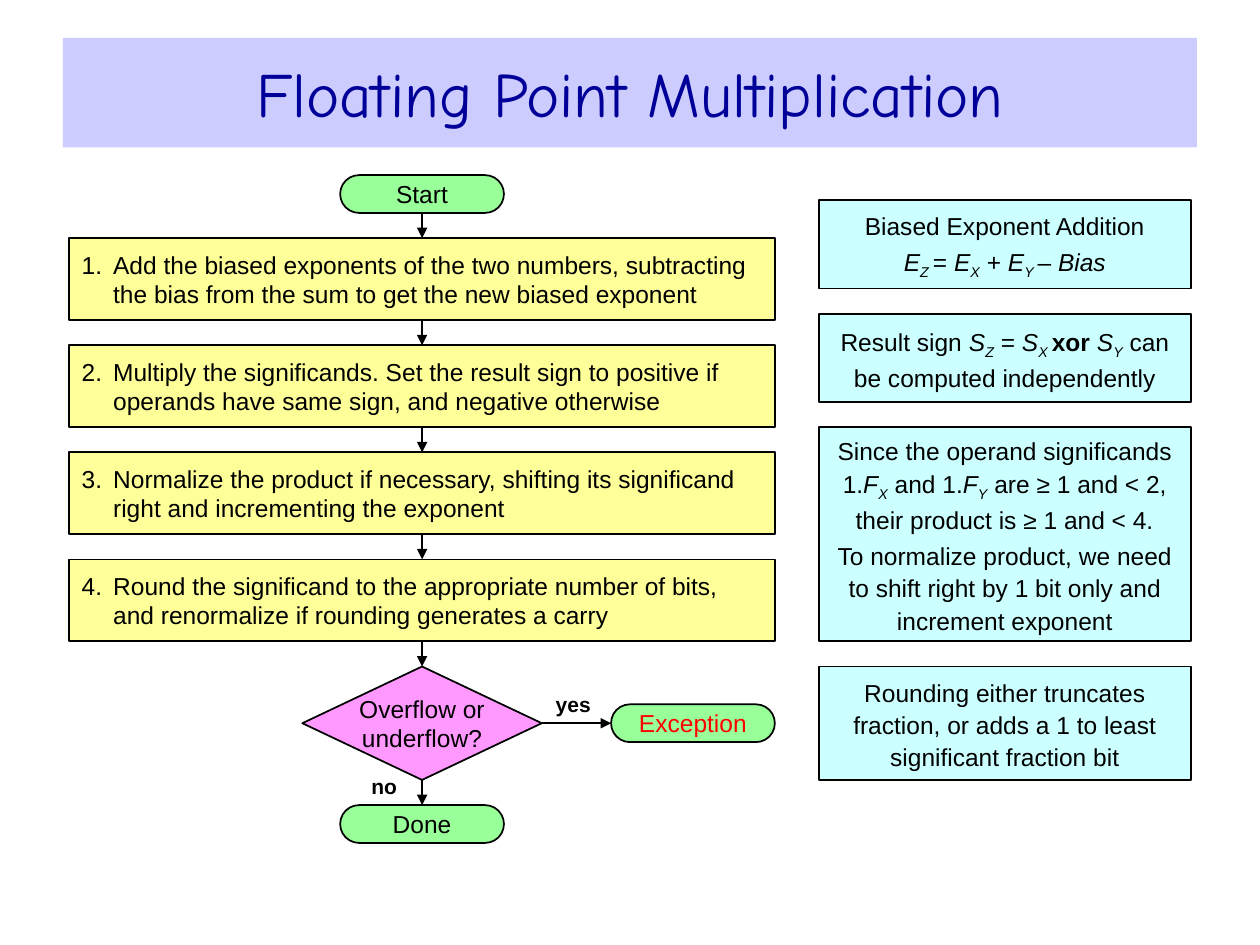
import dataclasses

import pptx
import pptx.dml.color
import pptx.enum.shapes
import pptx.enum.text
import pptx.oxml.ns
import pptx.util
from lxml import etree

Inches = pptx.util.Inches
Pt = pptx.util.Pt
SHAPE = pptx.enum.shapes.MSO_SHAPE
ANCHOR = pptx.enum.text.MSO_ANCHOR
ALIGN = pptx.enum.text.PP_ALIGN
TOP, LEFT, BOTTOM, RIGHT = range(4)


@dataclasses.dataclass(frozen=True)
class Theme:
    title_fill: str = "CCCCFF"
    title_ink: str = "000099"
    step_fill: str = "FFFF99"
    terminal_fill: str = "99FF99"
    decision_fill: str = "FF99FF"
    note_fill: str = "CCFFFF"
    ink: str = "000000"
    alert: str = "FF0000"
    title_font: str = "Comic Neue"
    body_font: str = "Arial"
    title_size: int = 36
    body_size: int = 14
    label_size: int = 12
    line_width: int = 1


THEME = Theme()
ITALIC = {"italic": True}
BOLD = {"bold": True}
SUBSCRIPT = {"italic": True, "baseline": -25000}

STEPS = [
    "Add the biased exponents of the two numbers, subtracting the bias from the sum to get the new biased exponent",
    "Multiply the significands. Set the result sign to positive if operands have same sign, and negative otherwise",
    "Normalize the product if necessary, shifting its significand right and incrementing the exponent",
    "Round the significand to the appropriate number of bits, and renormalize if rounding generates a carry",
]


def indexed(symbol, index):
    return [(symbol, ITALIC), (index, SUBSCRIPT)]


NOTES = [
    (1.59, 0.7, [
        ["Biased Exponent Addition"],
        [*indexed("E", "Z "), "= ", *indexed("E", "X"), " + ",
         *indexed("E", "Y "), "– ", ("Bias", ITALIC)],
    ]),
    (2.49, 0.7, [
        ["Result sign ", *indexed("S", "Z"), " = ", *indexed("S", "X "),
         ("xor ", BOLD), *indexed("S", "Y"), " can be computed independently"],
    ]),
    (3.39, 1.7, [
        ["Since the operand significands 1.", *indexed("F", "X"), " and 1.",
         *indexed("F", "Y"), " are ≥ 1 and < 2, their product is ≥ 1 and < 4."],
        ["To normalize product, we need to shift right by 1 bit only and increment exponent"],
    ]),
    (5.29, 0.9, [
        ["Rounding either truncates fraction, or adds a 1 to least significant fraction bit"],
    ]),
]


def rgb(value):
    return pptx.dml.color.RGBColor.from_string(value)


def apply(target, formats):
    for name, value in formats.items():
        setattr(target, name, value)


def write(shape, paragraphs, font=THEME.body_font, size=THEME.body_size,
          color=THEME.ink, align=ALIGN.CENTER, insets=(0.1, 0),
          anchor=ANCHOR.MIDDLE, wrap=True, bold=None, spacing=None, gap=0):
    frame = shape.text_frame
    side, end = map(Inches, insets)
    apply(frame, {"word_wrap": wrap, "vertical_anchor": anchor,
                  "margin_left": side, "margin_right": side,
                  "margin_top": end, "margin_bottom": end})
    for position, pieces in enumerate(paragraphs):
        paragraph = frame.add_paragraph() if position else frame.paragraphs[0]
        apply(paragraph, {"alignment": align, "line_spacing": spacing,
                          "space_before": Pt(gap if position else 0)})
        for piece in pieces:
            words, style = (piece, {}) if isinstance(piece, str) else piece
            run = paragraph.add_run()
            run.text = words
            formats = {"name": font, "size": Pt(size), "bold": bold, **style}
            baseline = formats.pop("baseline", None)
            apply(run.font, formats)
            run.font.color.rgb = rgb(color)
            if baseline:
                run.font._element.set("baseline", str(baseline))


def add_block(slide, kind, box, fill, outlined=True):
    block = slide.shapes.add_shape(kind, *map(Inches, box))
    block.shadow.inherit = False
    block.fill.solid()
    block.fill.fore_color.rgb = rgb(fill)
    if outlined:
        block.line.color.rgb = rgb(THEME.ink)
        block.line.width = Pt(THEME.line_width)
    else:
        block.line.fill.background()
    return block


def add_title(slide, words):
    banner = add_block(slide, SHAPE.RECTANGLE, (0.5, 0.3, 9, 0.87),
                       THEME.title_fill, outlined=False)
    write(banner, [[words]], font=THEME.title_font, size=THEME.title_size,
          color=THEME.title_ink, insets=(0.1, 0.05))


def add_terminal(slide, left, top, words, color=THEME.ink):
    terminal = add_block(slide, SHAPE.ROUNDED_RECTANGLE, (left, top, 1.3, 0.3),
                         THEME.terminal_fill)
    terminal.adjustments[0] = 0.5
    write(terminal, [[words]], color=color)
    return terminal


def add_step(slide, number, words):
    step = add_block(slide, SHAPE.RECTANGLE,
                     (0.55, 1.89 + 0.85 * (number - 1), 5.6, 0.65), THEME.step_fill)
    write(step, [[words]], align=ALIGN.LEFT)
    properties = step.text_frame.paragraphs[0]._p.get_or_add_pPr()
    properties.set("marL", str(Inches(0.25)))
    properties.set("indent", str(Inches(-0.25)))
    etree.SubElement(properties, pptx.oxml.ns.qn("a:buAutoNum"),
                     type="arabicPeriod", startAt=str(number))
    return step


def add_decision(slide, lines):
    decision = add_block(slide, SHAPE.DIAMOND, (2.4, 5.29, 1.9, 0.9),
                         THEME.decision_fill)
    write(decision, [[line] for line in lines], insets=(0, 0), wrap=False)
    return decision


def add_arrow(slide, source, source_side, target, target_side):
    arrow = slide.shapes.add_connector(
        pptx.enum.shapes.MSO_CONNECTOR.STRAIGHT, 0, 0, 0, 0)
    arrow.begin_connect(source, source_side)
    arrow.end_connect(target, target_side)
    arrow.line.color.rgb = rgb(THEME.ink)
    arrow.line.width = Pt(THEME.line_width)
    qn = pptx.oxml.ns.qn
    etree.SubElement(arrow.line._get_or_add_ln(), qn("a:tailEnd"), type="triangle")
    etree.SubElement(arrow._element.spPr, qn("a:effectLst"))


def add_branch_label(slide, left, top, words):
    label = slide.shapes.add_textbox(*map(Inches, (left, top, 0.5, 0.2)))
    write(label, [[words]], size=THEME.label_size, bold=True,
          insets=(0, 0), anchor=ANCHOR.BOTTOM)


def add_note(slide, top, height, paragraphs):
    note = add_block(slide, SHAPE.RECTANGLE, (6.5, top, 2.95, height), THEME.note_fill)
    write(note, paragraphs, insets=(0.1, 0.05), spacing=1.1, gap=1.8)


def main():
    deck = pptx.Presentation()
    apply(deck, {"slide_width": Inches(10), "slide_height": Inches(7.5)})
    slide = deck.slides.add_slide(deck.slide_layouts[6])

    add_title(slide, "Floating Point Multiplication")

    start = add_terminal(slide, 2.7, 1.39, "Start")
    steps = [add_step(slide, number, words) for number, words in enumerate(STEPS, 1)]
    overflow = add_decision(slide, ["Overflow or", "underflow?"])
    done = add_terminal(slide, 2.7, 6.39, "Done")
    exception = add_terminal(slide, 4.85, 5.59, "Exception", THEME.alert)

    flow = [start, *steps, overflow, done]
    for source, target in zip(flow, flow[1:]):
        add_arrow(slide, source, BOTTOM, target, TOP)
    add_arrow(slide, overflow, RIGHT, exception, LEFT)
    add_branch_label(slide, 4.3, 5.49, "yes")
    add_branch_label(slide, 2.8, 6.14, "no")

    for note in NOTES:
        add_note(slide, *note)

    deck.save("out.pptx")


if __name__ == "__main__":
    main()
